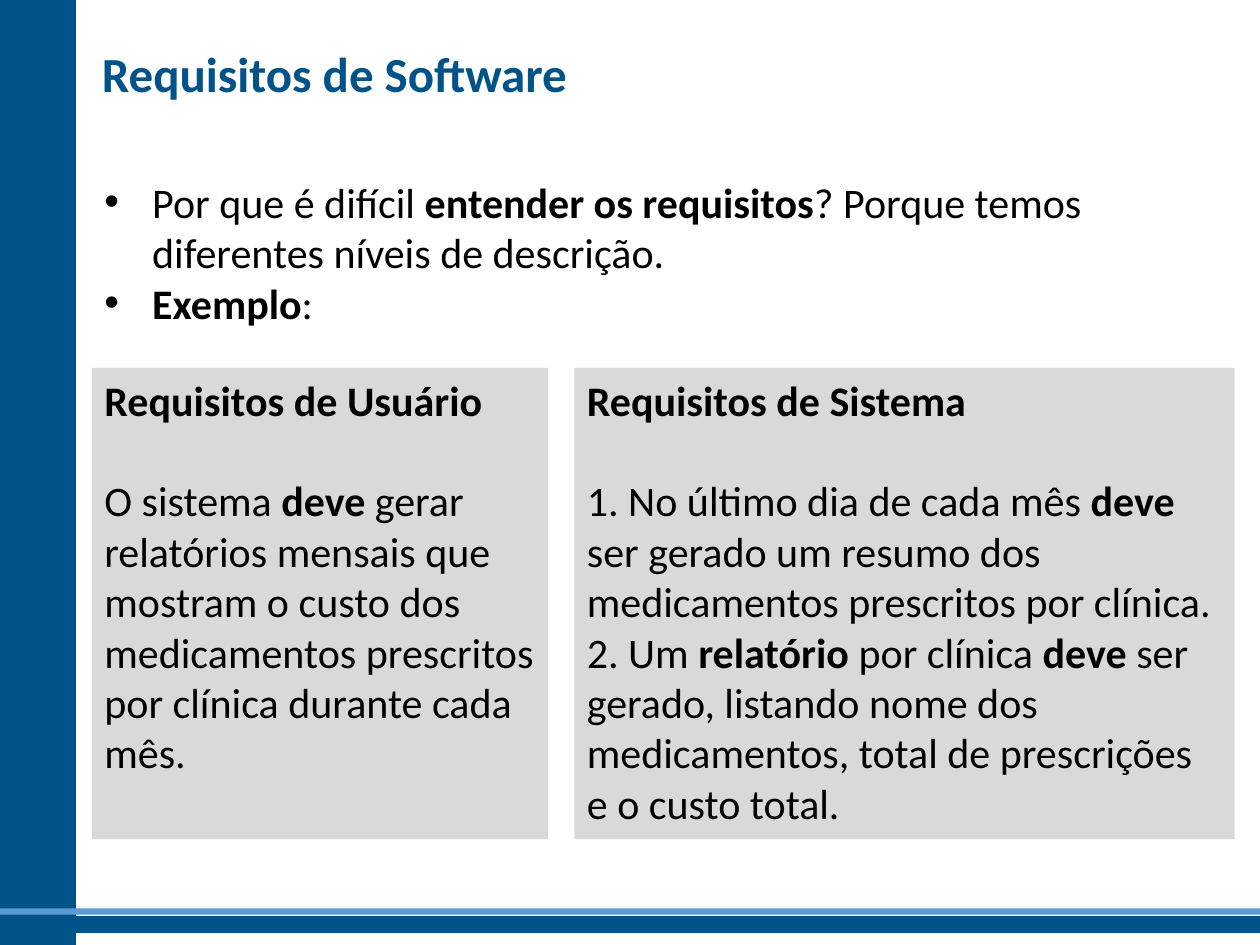
from lxml.etree import SubElement
from pptx import Presentation
from pptx.dml.color import RGBColor
from pptx.enum.shapes import MSO_SHAPE
from pptx.enum.text import MSO_ANCHOR, PP_ALIGN
from pptx.oxml.ns import qn
from pptx.util import Inches, Pt

NAVY = RGBColor(0x00, 0x53, 0x88)
SKY = RGBColor(0x5B, 0x9B, 0xD5)
GRAY = RGBColor(0xD9, 0xD9, 0xD9)
BLACK = RGBColor(0x00, 0x00, 0x00)
FONT = "Calibri"
BODY_SIZE = 24
HEADING_GAP = 28.8
CONTENT_LEFT = 0.73
CONTENT_RIGHT = 9.8
PANEL_TOP = 2.92
PANEL_HEIGHT = 3.74

INTRODUCTION = [
    [("Por que é difícil ", False), ("entender os requisitos", True),
     ("? Porque temos diferentes níveis de descrição.", False)],
    [("Exemplo", True), (":", False)],
]
USER_REQUIREMENTS = [
    [("O sistema ", False), ("deve", True),
     (" gerar relatórios mensais que mostram o custo dos medicamentos "
      "prescritos por clínica durante cada mês.", False)],
]
SYSTEM_REQUIREMENTS = [
    [("1. No último dia de cada mês ", False), ("deve", True),
     (" ser gerado um resumo dos medicamentos prescritos por clínica.", False)],
    [("2. Um ", False), ("relatório", True), (" por clínica ", False),
     ("deve", True),
     (" ser gerado, listando nome dos medicamentos, total de prescrições "
      "e o custo total.", False)],
]


def add_rectangle(slide, left, top, width, height, fill, line=None):
    shape = slide.shapes.add_shape(
        MSO_SHAPE.RECTANGLE,
        Inches(left), Inches(top), Inches(width), Inches(height))
    shape.shadow.inherit = False
    shape.fill.solid()
    shape.fill.fore_color.rgb = fill
    if line is None:
        shape.line.fill.background()
    else:
        shape.line.color.rgb = line
        shape.line.width = Pt(1)
    return shape


def add_bullet(paragraph):
    properties = paragraph._p.get_or_add_pPr()
    properties.set("marL", str(Inches(0.38)))
    properties.set("indent", str(Inches(-0.38)))
    SubElement(properties, qn("a:buFont"), typeface="Arial")
    SubElement(properties, qn("a:buChar"), char="•")


def write_paragraphs(text_frame, paragraphs, size=BODY_SIZE, color=BLACK,
                     anchor=MSO_ANCHOR.TOP, bulleted=False):
    text_frame.word_wrap = True
    text_frame.vertical_anchor = anchor
    for index, runs in enumerate(paragraphs):
        paragraph = (text_frame.add_paragraph() if index
                     else text_frame.paragraphs[0])
        paragraph.alignment = PP_ALIGN.LEFT
        if bulleted:
            add_bullet(paragraph)
        for text, bold in runs:
            run = paragraph.add_run()
            run.text = text
            run.font.name = FONT
            run.font.size = Pt(size)
            run.font.bold = bold
            run.font.color.rgb = color


def add_text(slide, left, top, width, height, paragraphs, **style):
    box = slide.shapes.add_textbox(
        Inches(left), Inches(top), Inches(width), Inches(height))
    write_paragraphs(box.text_frame, paragraphs, **style)


def add_panel(slide, left, width, heading, paragraphs):
    panel = add_rectangle(slide, left, PANEL_TOP, width, PANEL_HEIGHT, GRAY)
    write_paragraphs(panel.text_frame, [[(heading, True)], *paragraphs])
    panel.text_frame.paragraphs[0].space_after = Pt(HEADING_GAP)


def add_frame(slide):
    add_rectangle(slide, 0, 0, 0.6, 7.5, NAVY, NAVY)
    add_rectangle(slide, 0, 7.28, 10, 0.12, NAVY, NAVY)
    add_rectangle(slide, 0, 7.21, 10, 0.05, SKY)


def main():
    presentation = Presentation()
    presentation.slide_width = Inches(10)
    presentation.slide_height = Inches(7.5)
    slide = presentation.slides.add_slide(presentation.slide_layouts[6])

    add_frame(slide)
    add_text(slide, 0.71, 0.29, 9.09, 0.57,
             [[("Requisitos de Software", True)]],
             size=28, color=NAVY, anchor=MSO_ANCHOR.MIDDLE)
    add_text(slide, CONTENT_LEFT, 1.35, CONTENT_RIGHT - CONTENT_LEFT, 1.72,
             INTRODUCTION, bulleted=True)
    add_panel(slide, CONTENT_LEFT, 3.62,
              "Requisitos de Usuário", USER_REQUIREMENTS)
    add_panel(slide, 4.56, CONTENT_RIGHT - 4.56,
              "Requisitos de Sistema", SYSTEM_REQUIREMENTS)

    presentation.save("out.pptx")


if __name__ == "__main__":
    main()
